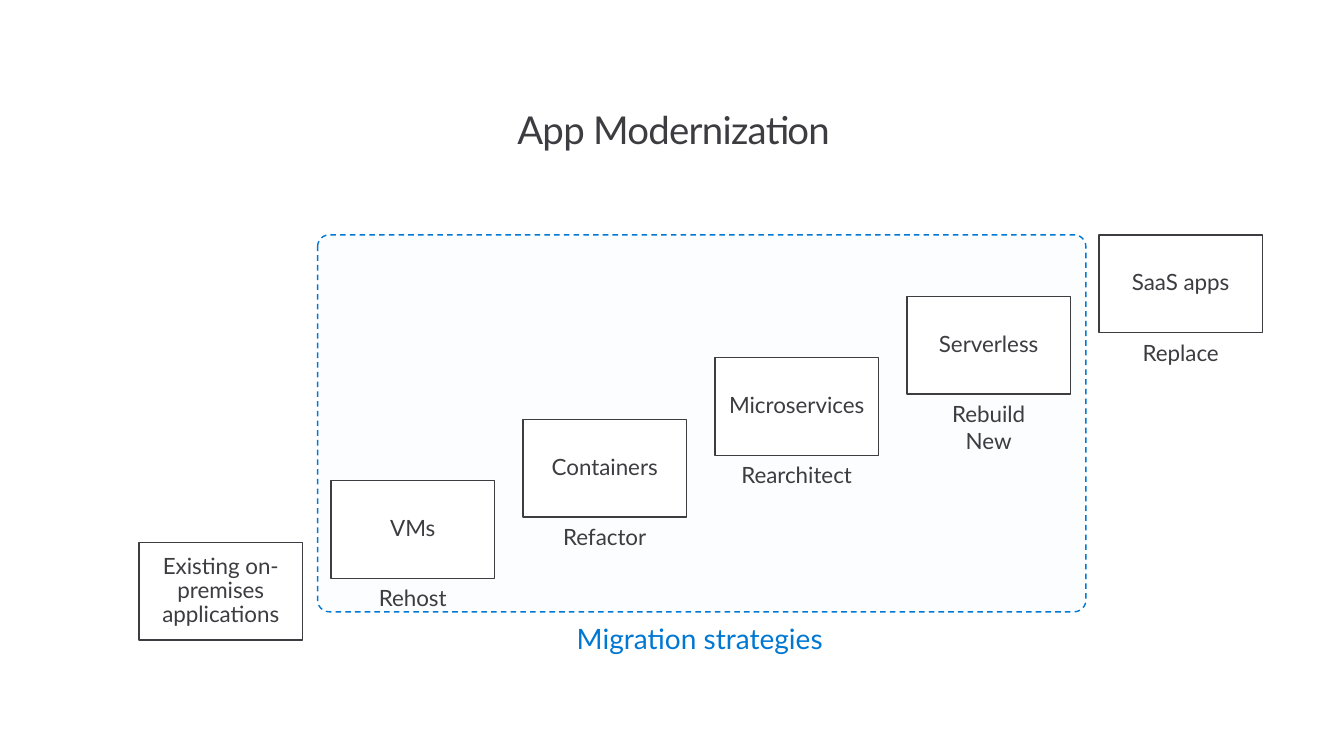
from copy import deepcopy

from pptx import Presentation
from pptx.dml.color import RGBColor
from pptx.enum.dml import MSO_LINE
from pptx.enum.shapes import MSO_SHAPE
from pptx.enum.text import MSO_ANCHOR, MSO_AUTO_SIZE, PP_ALIGN
from pptx.util import Inches, Pt

TITLE = "App Modernization"
FRAME_LABEL = "Migration strategies"
STAGES = [
    ("Existing on-premises applications", None),
    ("VMs", "Rehost"),
    ("Containers", "Refactor"),
    ("Microservices", "Rearchitect"),
    ("Serverless", "Rebuild\nNew"),
    ("SaaS apps", "Replace"),
]

INK = RGBColor(0x3C, 0x3C, 0x41)
BLUE = RGBColor(0x00, 0x78, 0xD4)
LABEL_BLUE = RGBColor(0x00, 0x78, 0xD3)
WHITE = RGBColor(0xFF, 0xFF, 0xFF)
PALE = RGBColor(0xFC, 0xFD, 0xFF)
FONT = "Lato"
RECTANGLE = MSO_SHAPE.RECTANGLE
ROUNDED = MSO_SHAPE.ROUNDED_RECTANGLE
DASH = MSO_LINE.DASH
CENTER = PP_ALIGN.CENTER
TOP, MIDDLE = MSO_ANCHOR.TOP, MSO_ANCHOR.MIDDLE
GROW = MSO_AUTO_SIZE.SHAPE_TO_FIT_TEXT
FIXED = MSO_AUTO_SIZE.NONE

FIRST_LEFT, FIRST_TOP = 1.38, 5.38
STEP_X, STEP_Y = 1.904, 0.61
STAGE_WIDTH, STAGE_HEIGHT = 1.62, 0.97
CAPTION_WIDTH, CAPTION_LINE = 1.44, 0.27
CAPTION_DROP = 1.03


def write(box, text, size=16, color=INK, anchor=TOP, fit=GROW, inset_x=0,
          inset_y=0, line_spacing=None, after=None, tracking=None):
    frame = box.text_frame
    frame.word_wrap = True
    frame.auto_size = fit
    frame.vertical_anchor = anchor
    frame.margin_left = frame.margin_right = Inches(inset_x)
    frame.margin_top = frame.margin_bottom = Inches(inset_y)
    para = frame.paragraphs[0]
    para.text = text
    para.alignment = CENTER
    para.line_spacing = line_spacing
    para.space_after = after
    for span in para.runs:
        span.font.name = FONT
        span.font.size = Pt(size)
        span.font.color.rgb = color
        if tracking is not None:
            span.font._element.set("spc", str(tracking))
    for line_break in para._p.findall("{*}br"):
        line_break.append(deepcopy(para.runs[0].font._element))


def add_panel(shapes, kind, area, fill, line):
    panel = shapes.add_shape(kind, *map(Inches, area))
    panel.shadow.inherit = False
    panel.fill.solid()
    panel.fill.fore_color.rgb = fill
    panel.line.color.rgb = line
    panel.line.width = Pt(1)
    return panel


def add_label(shapes, area, text, **style):
    write(shapes.add_textbox(*map(Inches, area)), text, **style)


def add_stage(page, index, name, caption):
    left = FIRST_LEFT + index * STEP_X
    top = FIRST_TOP - index * STEP_Y
    shapes = page.shapes.add_group_shape().shapes if caption else page.shapes
    box = add_panel(shapes, RECTANGLE, (left, top, STAGE_WIDTH, STAGE_HEIGHT),
                    WHITE, INK)
    write(box, name, anchor=MIDDLE, fit=FIXED, line_spacing=0.9, inset_y=0.16,
          inset_x=0.1 if name == "Microservices" else 0.2)
    if caption:
        height = CAPTION_LINE * len(caption.split("\n"))
        caption_left = left + (STAGE_WIDTH - CAPTION_WIDTH) / 2
        add_label(shapes, (caption_left, top + CAPTION_DROP, CAPTION_WIDTH, height),
                  caption)


def main():
    deck = Presentation()
    deck.slide_width, deck.slide_height = Inches(13.33), Inches(7.5)
    page = deck.slides.add_slide(deck.slide_layouts[6])

    strategies = add_panel(page.shapes, ROUNDED, (3.15, 2.33, 7.62, 3.74),
                           PALE, BLUE)
    strategies.adjustments[0] = 0.031
    strategies.line.dash_style = DASH

    for index, (name, caption) in enumerate(STAGES):
        add_stage(page, index, name, caption)

    add_label(page.shapes, (5.54, 6.17, 2.8, 0.34), FRAME_LABEL,
              size=20, color=LABEL_BLUE, after=Pt(12))
    add_label(page.shapes, (0.5, 1.07, 12.36, 0.44), TITLE, size=27.4,
              line_spacing=Pt(31.4), after=Pt(12), tracking=-50)
    deck.save("out.pptx")


if __name__ == "__main__":
    main()
